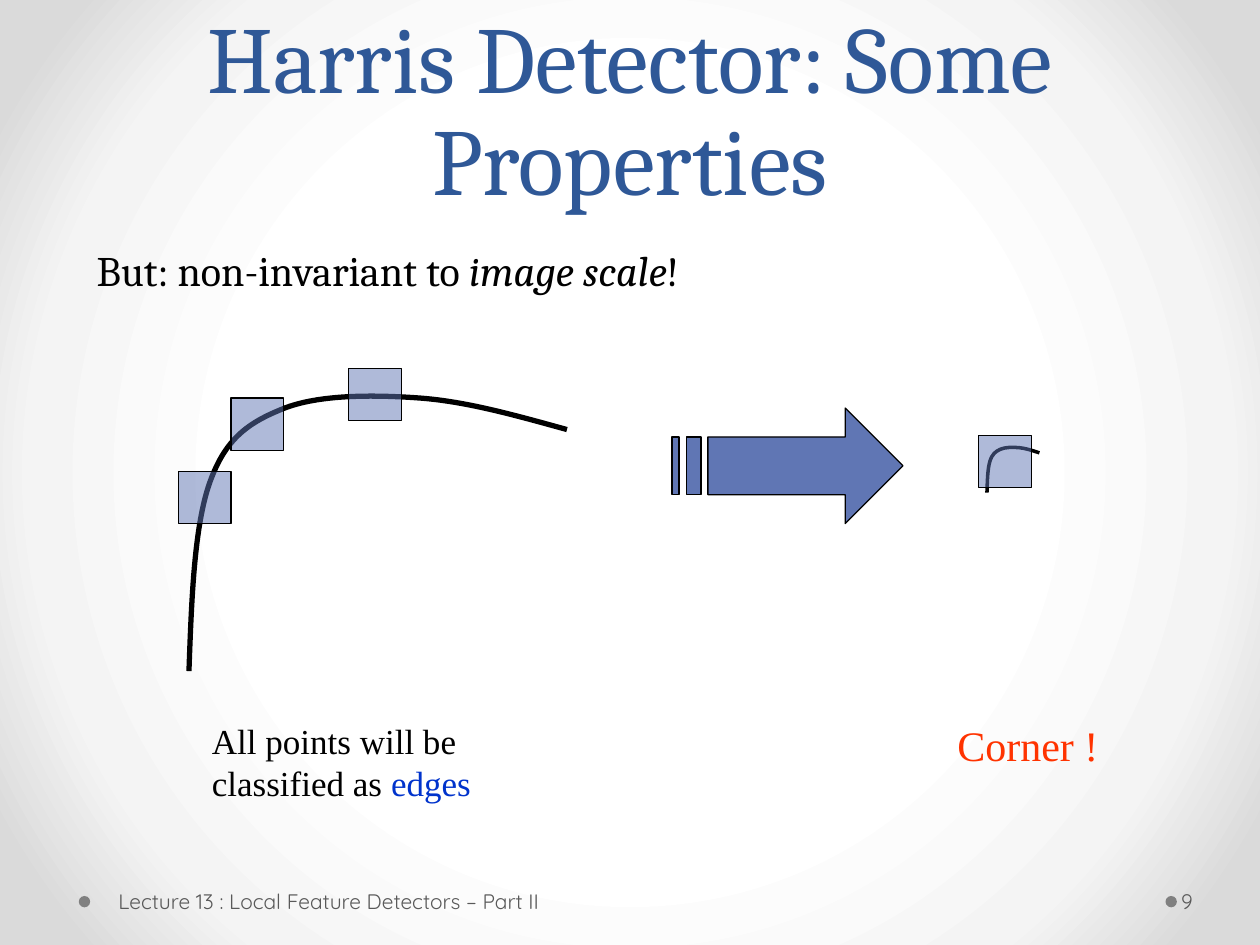
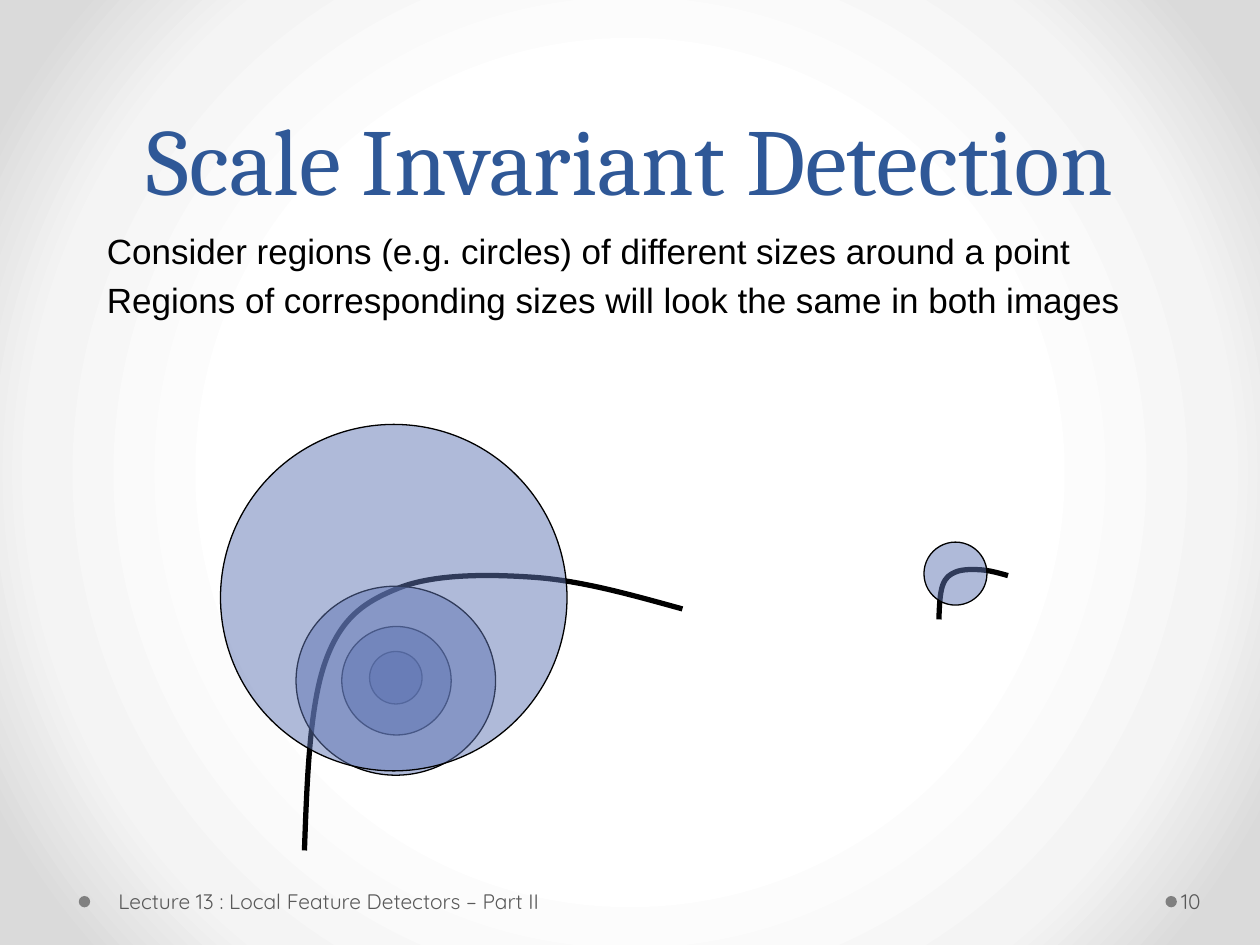
from dataclasses import dataclass, field

from lxml import etree
from pptx import Presentation
from pptx.dml.color import RGBColor
from pptx.enum.shapes import MSO_SHAPE
from pptx.enum.text import MSO_ANCHOR, PP_ALIGN
from pptx.oxml import parse_xml
from pptx.oxml.ns import nsdecls, qn
from pptx.presentation import Presentation as Deck
from pptx.shapes.autoshape import Shape
from pptx.shapes.shapetree import GroupShapes, SlideShapes
from pptx.slide import Slide
from pptx.util import Pt

RECTANGLE, OVAL = MSO_SHAPE.RECTANGLE, MSO_SHAPE.OVAL
TOP, MIDDLE, BOTTOM = MSO_ANCHOR.TOP, MSO_ANCHOR.MIDDLE, MSO_ANCHOR.BOTTOM
LEFT, CENTER = PP_ALIGN.LEFT, PP_ALIGN.CENTER

BLACK = RGBColor(0x00, 0x00, 0x00)
TITLE_BLUE = RGBColor(0x2F, 0x58, 0x97)
REGION_BLUE = RGBColor(0x60, 0x76, 0xB4)
EDGE_BLUE = RGBColor(0x00, 0x33, 0xCC)
CORNER_RED = RGBColor(0xFF, 0x33, 0x00)
FOOTER_GRAY = RGBColor(0x59, 0x59, 0x59)
DOT_GRAY = RGBColor(0x80, 0x80, 0x80)
WHITE = RGBColor(0xFF, 0xFF, 0xFF)
PALE_GRAY = RGBColor(0xF4, 0xF4, 0xF4)
RIM_GRAY = RGBColor(0xDA, 0xDA, 0xDA)
BACKGROUND_STOPS = ((50, WHITE), (76, PALE_GRAY), (92, RIM_GRAY))

FOOTER = "Lecture 13 : Local Feature Detectors – Part II"
CURVE_WIDTH, CURVE_HEIGHT = 216, 158
CURVE_START = (0, 158)
CURVE_CONTROLS = (
    (1.5, 117), (3, 75), (12, 50),
    (21, 25), (34, 16), (54, 8),
    (74, 0), (105, 0), (132, 2),
    (159, 4), (187, 12), (216, 20),
)
ARROW_OUTLINES = (
    ((99, 0), (99, 16.5), (20.5, 16.5), (20.5, 49.5), (99, 49.5), (99, 66), (132, 33)),
    ((8.5, 16.5), (8.5, 49.5), (16.5, 49.5), (16.5, 16.5)),
    ((0, 16.5), (0, 49.5), (4, 49.5), (4, 16.5)),
)

Shapes = SlideShapes | GroupShapes


@dataclass(frozen=True)
class Area:
    left: float
    top: float
    width: float
    height: float

    def lengths(self) -> tuple[Pt, Pt, Pt, Pt]:
        return Pt(self.left), Pt(self.top), Pt(self.width), Pt(self.height)


@dataclass(frozen=True)
class Style:
    font: str
    size: float
    color: RGBColor
    anchor: MSO_ANCHOR = TOP
    paragraph: dict = field(default_factory=dict)
    margins: dict = field(default_factory=dict)


@dataclass(frozen=True)
class Span:
    text: str
    color: RGBColor | None = None
    italic: bool = False


@dataclass(frozen=True)
class Curve:
    area: Area
    weight: float


TITLE = Style("Cambria", 54, TITLE_BLUE, BOTTOM, {"alignment": CENTER, "line_spacing": Pt(58)})
FOOTER_STYLE = Style(
    "Quicksand", 12, FOOTER_GRAY, MIDDLE, margins={"margin_left": Pt(3.6)}
)
NUMBER_STYLE = Style(
    "Quicksand", 12, FOOTER_GRAY, MIDDLE,
    margins={"margin_left": Pt(2.2), "margin_right": Pt(3.6)},
)
STATEMENT = Style("Cambria", 24, BLACK)
POINTS = Style("Arial", 20, BLACK)
CAPTION = Style("Times New Roman", 20, BLACK)
VERDICT = Style("Times New Roman", 24, CORNER_RED)


def add_text(
    page: Slide, area: Area, style: Style, *paragraphs: tuple[Span, ...], gap: float = 0
) -> None:
    frame = page.shapes.add_textbox(*area.lengths()).text_frame
    frame_format = {"word_wrap": True, "vertical_anchor": style.anchor, **style.margins}
    for name, value in frame_format.items():
        setattr(frame, name, value)
    for index, spans in enumerate(paragraphs):
        para = frame.add_paragraph() if index else frame.paragraphs[0]
        spacing = {"space_before": Pt(gap if index else 0)}
        for name, value in ({"alignment": LEFT} | spacing | style.paragraph).items():
            setattr(para, name, value)
        for span in spans:
            run = para.add_run()
            run.text = span.text
            font_format = {"name": style.font, "size": Pt(style.size), "italic": span.italic}
            for name, value in font_format.items():
                setattr(run.font, name, value)
            run.font.color.rgb = span.color or style.color


def paint(
    shape: Shape, fill: RGBColor | None, line: RGBColor | None, weight: float = 0.75
) -> None:
    shape.shadow.inherit = False
    if fill is None:
        shape.fill.background()
    else:
        shape.fill.solid()
        shape.fill.fore_color.rgb = fill
    if line is None:
        shape.line.fill.background()
    else:
        shape.line.color.rgb = line
        shape.line.width = Pt(weight)


def add_region(shapes: Shapes, kind: MSO_SHAPE, area: Area) -> None:
    region = shapes.add_shape(kind, *area.lengths())
    paint(region, REGION_BLUE, BLACK)
    color = region.element.spPr.find(f"{qn('a:solidFill')}/{qn('a:srgbClr')}")
    etree.SubElement(color, qn("a:alpha"), val="50000")


def bend_segments(shape: Shape) -> None:
    outline = shape.element.spPr.find(f".//{qn('a:path')}")
    lines = outline.findall(qn("a:lnTo"))
    for first in range(0, len(lines), 3):
        bend = etree.SubElement(outline, qn("a:cubicBezTo"))
        for line in lines[first:first + 3]:
            bend.append(line[0])
            outline.remove(line)


def add_curve(shapes: Shapes, curve: Curve) -> None:
    area = curve.area
    start, *controls = [
        (
            Pt(area.left + x * area.width / CURVE_WIDTH),
            Pt(area.top + y * area.height / CURVE_HEIGHT),
        )
        for x, y in (CURVE_START, *CURVE_CONTROLS)
    ]
    builder = shapes.build_freeform(*start)
    builder.add_line_segments(controls, close=False)
    shape = builder.convert_to_shape()
    bend_segments(shape)
    paint(shape, None, BLACK, curve.weight)


def add_striped_arrow(page: Slide, left: float, top: float) -> None:
    outlines = [
        [(Pt(left + x), Pt(top + y)) for x, y in outline] for outline in ARROW_OUTLINES
    ]
    builder = page.shapes.build_freeform(*outlines[0][0])
    for index, (start, *rest) in enumerate(outlines):
        if index:
            builder.move_to(*start)
        builder.add_line_segments(rest, close=True)
    paint(builder.convert_to_shape(), REGION_BLUE, BLACK)


def set_background(deck: Deck) -> None:
    master = deck.slide_master
    master.background.fill.solid()
    properties = master.element.find(f".//{qn('p:bgPr')}")
    stops = "".join(
        f'<a:gs pos="{position * 1000}"><a:srgbClr val="{color}"/></a:gs>'
        for position, color in BACKGROUND_STOPS
    )
    gradient = parse_xml(
        f'<a:gradFill {nsdecls("a")} rotWithShape="1"><a:gsLst>{stops}</a:gsLst>'
        '<a:path path="circle"><a:fillToRect l="50000" t="50000" r="50000" b="50000"/>'
        "</a:path></a:gradFill>"
    )
    properties.replace(properties[0], gradient)


def add_page(deck: Deck, title: str, number: int) -> Slide:
    page = deck.slides.add_slide(deck.slide_layouts[6])
    for left in (666, 45):
        dot = page.shapes.add_shape(OVAL, *Area(left, 512, 6.5, 6.5).lengths())
        paint(dot, DOT_GRAY, None)
    add_text(page, Area(64, 500.5, 361, 29), FOOTER_STYLE, (Span(FOOTER),))
    add_text(page, Area(36, 0, 648, 126), TITLE, (Span(title),))
    add_text(page, Area(672.8, 500.5, 44, 29), NUMBER_STYLE, (Span(str(number)),))
    return page


def add_properties_page(deck: Deck) -> None:
    page = add_page(deck, "Harris Detector: Some Properties", 9)
    statement = (
        Span("But: non-invariant to "),
        Span("image scale", italic=True),
        Span("!"),
    )
    add_text(page, Area(48.2, 136, 612, 324), STATEMENT, statement)
    window = 30
    scenes = (
        (Curve(Area(564, 255.5, 30, 26), 2), ((559.3, 248.7),)),
        (
            Curve(Area(108, 225.5, CURVE_WIDTH, CURVE_HEIGHT), 3),
            ((102, 269.3), (132, 227.4), (199.3, 210.5)),
        ),
    )
    for curve, corners in scenes:
        add_curve(page.shapes, curve)
        for left, top in corners:
            add_region(page.shapes, RECTANGLE, Area(left, top, window, window))
    add_striped_arrow(page, 384, 233.2)
    caption = (Span("All points will be classified as "), Span("edges", EDGE_BLUE))
    add_text(page, Area(114, 407.5, 204, 55.5), CAPTION, caption)
    add_text(page, Area(540, 407.5, 108, 36), VERDICT, (Span("Corner !"),))


def add_scale_page(deck: Deck) -> None:
    page = add_page(deck, "Scale Invariant Detection", 10)
    add_text(
        page,
        Area(54, 127.5, 612, 324),
        POINTS,
        (Span("Consider regions (e.g. circles) of different sizes around a point"),),
        (Span("Regions of corresponding sizes will look the same in both images"),),
        gap=4,
    )
    add_curve(page.shapes, Curve(Area(174, 328, CURVE_WIDTH, CURVE_HEIGHT), 3))
    circles = (
        Area(211.2, 372.3, 30, 30),
        Area(195.3, 358, 62.5, 62),
        Area(169.2, 335, 114, 108),
        Area(126, 242.5, 198, 198),
    )
    for circle in circles:
        add_region(page.shapes, OVAL, circle)
    small_scene = page.shapes.add_group_shape().shapes
    add_curve(small_scene, Curve(Area(536.5, 325.3, 39.5, 28.7), 3))
    add_region(small_scene, OVAL, Area(528, 309.8, 36, 36))


def main() -> None:
    deck = Presentation()
    deck.slide_width, deck.slide_height = Pt(720), Pt(540)
    set_background(deck)
    add_properties_page(deck)
    add_scale_page(deck)
    deck.save("out.pptx")


if __name__ == "__main__":
    main()
